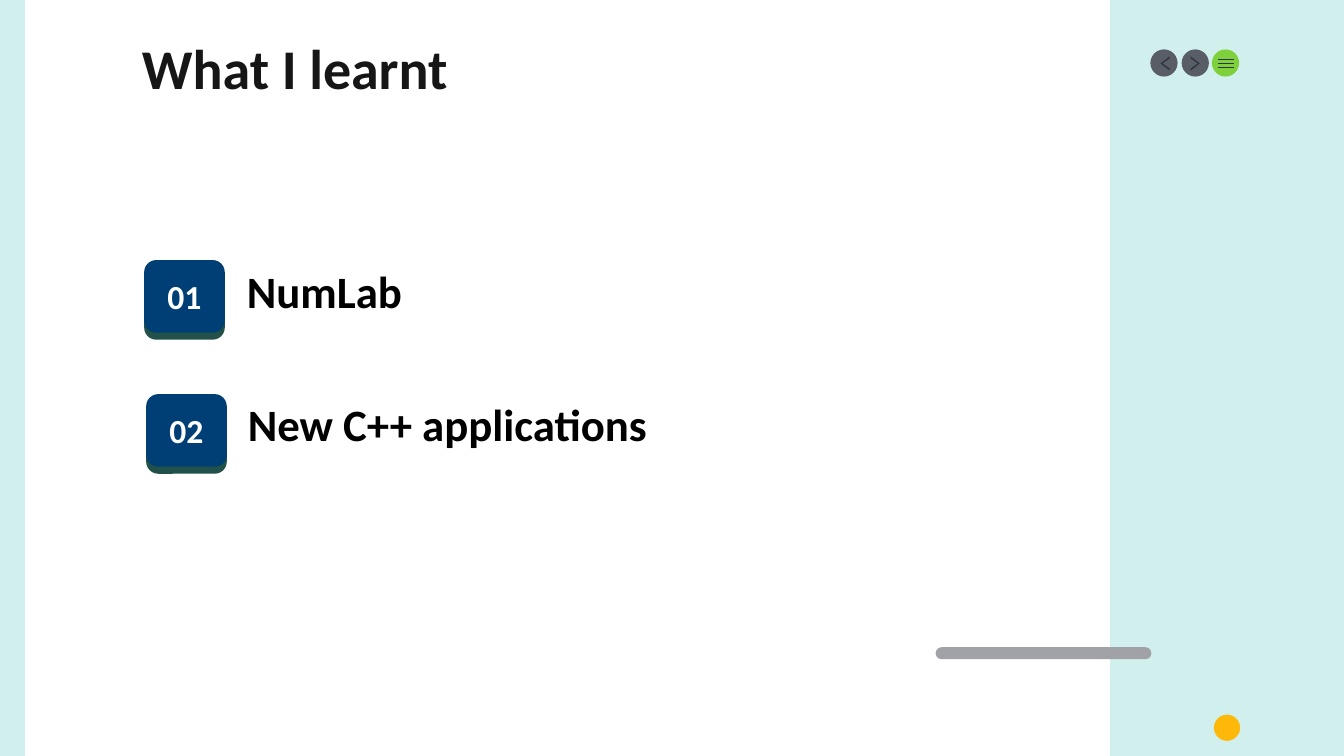
from dataclasses import dataclass

from lxml import etree
from pptx import Presentation
from pptx.dml import color as dml
from pptx.enum import shapes, text
from pptx.oxml import ns
from pptx.util import Inches, Pt

COLORS = {
    "mint": "D1F0ED", "white": "FFFFFF", "black": "000000", "title": "171616",
    "navy": "003F75", "pine": "215148", "amber": "FEB80A", "green": "7FD13B",
    "slate": "595D65", "ink": "2F3540", "gray": "A0A2A8",
}
FONT = "Calibri"
KIND = shapes.MSO_SHAPE


@dataclass
class Box:
    left: float
    top: float
    width: float
    height: float

    def lengths(self) -> list:
        return [Inches(v) for v in (self.left, self.top, self.width, self.height)]


@dataclass
class Lesson:
    number: str
    topic: str
    badge_left: float
    badge_top: float
    topic_box: Box


@dataclass
class Chevron:
    back: float
    tip: float
    thickness: float


LESSONS = [
    Lesson("01", "NumLab", 1.43, 2.58, Box(2.35, 2.57, 5.91, 0.8)),
    Lesson("02", "New C++ applications", 1.45, 3.91, Box(2.36, 3.89, 6.27, 0.8)),
]
DOTS = [
    (Box(12.04, 7.09, 0.26, 0.26), "amber"),
    (Box(12.02, 0.49, 0.27, 0.27), "green"),
    (Box(11.72, 0.49, 0.27, 0.27), "slate"),
    (Box(11.41, 0.49, 0.27, 0.27), "slate"),
]
CHEVRONS = [Chevron(11.81, 11.9, 0.02), Chevron(11.6, 11.51, -0.02)]
CHEVRON_MIDDLE, CHEVRON_HALF = 0.63, 0.07


def rgb(name: str) -> dml.RGBColor:
    return dml.RGBColor.from_string(COLORS[name])


def paint(shape, color: str) -> None:
    """Fill flat, with no outline and no shadow."""
    shape.fill.solid()
    shape.fill.fore_color.rgb = rgb(color)
    shape.line.fill.background()
    shape.shadow.inherit = False


def add_block(parent, kind, box: Box, color: str, rounding: float = None):
    block = parent.add_shape(kind, *box.lengths())
    paint(block, color)
    if rounding is not None:
        block.adjustments[0] = rounding
    return block


def write(shape, words: str, size: float, color: str, anchor=text.MSO_ANCHOR.TOP,
          align=text.PP_ALIGN.LEFT, spacing: float = None) -> None:
    frame = shape.text_frame
    frame.word_wrap = True
    frame.vertical_anchor = anchor
    paragraph = frame.paragraphs[0]
    paragraph.alignment = align
    paragraph.line_spacing = spacing
    run = paragraph.add_run()
    run.text = words
    run.font.name, run.font.size, run.font.bold = FONT, Pt(size), True
    run.font.color.rgb = rgb(color)


def add_menu_line(parent, y: float) -> None:
    line = parent.add_connector(shapes.MSO_CONNECTOR.STRAIGHT, Inches(12.08),
                                Inches(y), Inches(12.24), Inches(y))
    line.line.color.rgb = rgb("ink")
    line.line.width = Pt(1)
    etree.SubElement(line._element.spPr, ns.qn("a:effectLst"))


def add_chevron(parent, chevron: Chevron) -> None:
    top, bottom = CHEVRON_MIDDLE - CHEVRON_HALF, CHEVRON_MIDDLE + CHEVRON_HALF
    inset = abs(chevron.thickness)
    points = [
        (chevron.back, top), (chevron.tip, CHEVRON_MIDDLE), (chevron.back, bottom),
        (chevron.back, bottom - inset),
        (chevron.tip - chevron.thickness, CHEVRON_MIDDLE),
        (chevron.back, top + inset),
    ]
    start, *rest = [(Inches(x), Inches(y)) for x, y in points]
    outline = parent.build_freeform(*start)
    outline.add_line_segments(rest, close=True)
    paint(outline.convert_to_shape(), "ink")


def add_lesson(parent, lesson: Lesson) -> None:
    group = parent.add_group_shape().shapes
    for drop, color in ((0.07, "pine"), (0, "navy")):
        box = Box(lesson.badge_left, lesson.badge_top + drop, 0.8, 0.72)
        badge = add_block(group, KIND.ROUNDED_RECTANGLE, box, color, 0.167)
    write(badge, lesson.number, 24, "white", text.MSO_ANCHOR.MIDDLE,
          text.PP_ALIGN.CENTER)
    topic = group.add_textbox(*lesson.topic_box.lengths())
    write(topic, lesson.topic, 32, "black")


def main() -> None:
    deck = Presentation()
    deck.slide_width, deck.slide_height = Inches(13.33), Inches(7.5)
    slide = deck.slides.add_slide(deck.slide_layouts[6])
    slide.background.fill.solid()
    slide.background.fill.fore_color.rgb = rgb("mint")
    canvas = slide.shapes

    for box, color in DOTS:
        add_block(canvas, KIND.OVAL, box, color)
    for row in range(3):
        add_menu_line(canvas, 0.59 + 0.04 * row)
    for chevron in CHEVRONS:
        add_chevron(canvas, chevron)

    page = add_block(canvas, KIND.RECTANGLE, Box(0.25, 0, 10.75, 7.5), "white")
    page.line.color.rgb = rgb("white")
    page.line.width = Pt(0.75)

    title = canvas.add_textbox(*Box(1.31, 0.4, 11.11, 0.61).lengths())
    write(title, "What I learnt", 40, "title", text.MSO_ANCHOR.MIDDLE, spacing=0.9)
    for lesson in LESSONS:
        add_lesson(canvas, lesson)
    add_block(canvas, KIND.ROUNDED_RECTANGLE, Box(9.28, 6.42, 2.14, 0.12), "gray", 0.5)

    deck.save("out.pptx")


if __name__ == "__main__":
    main()
